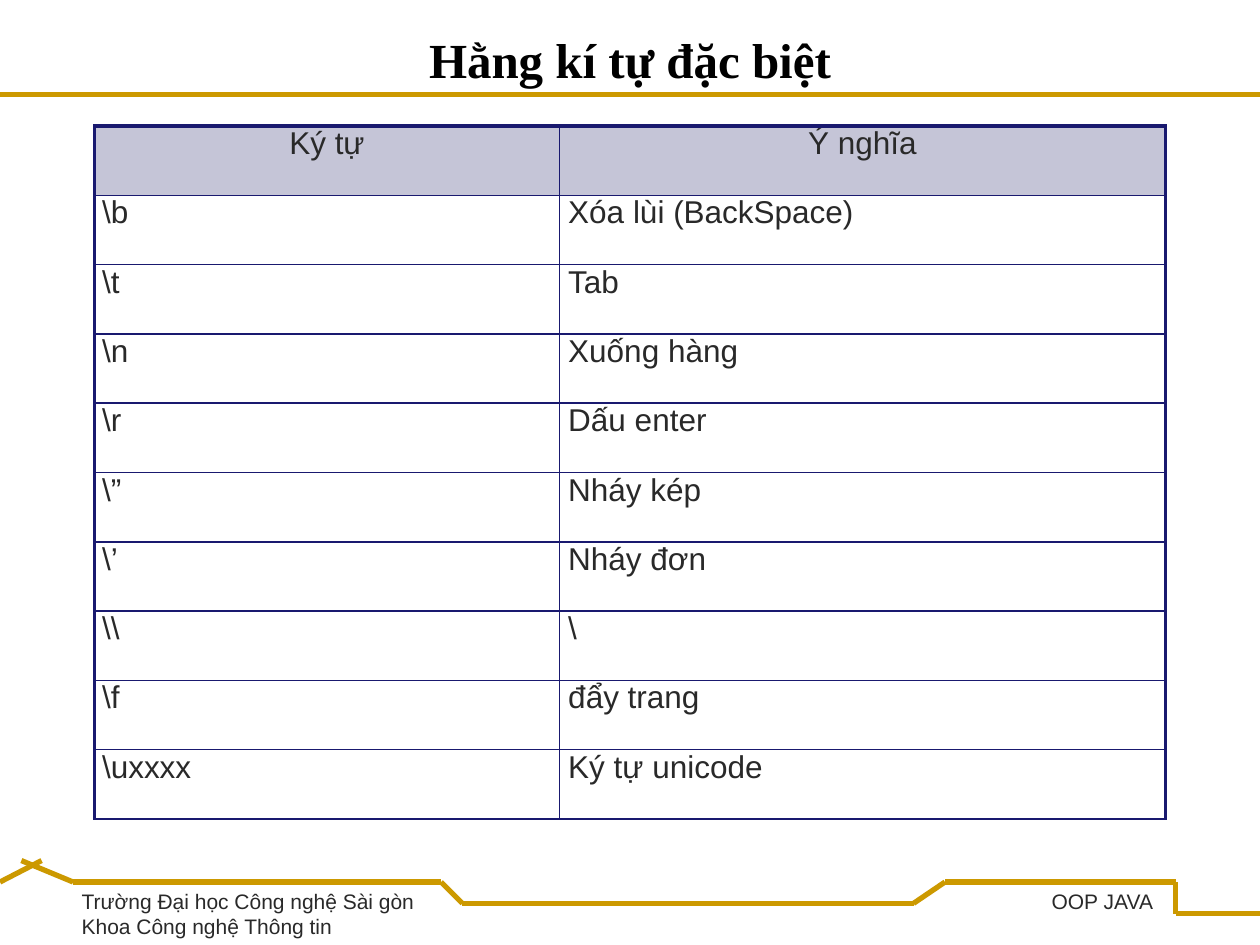
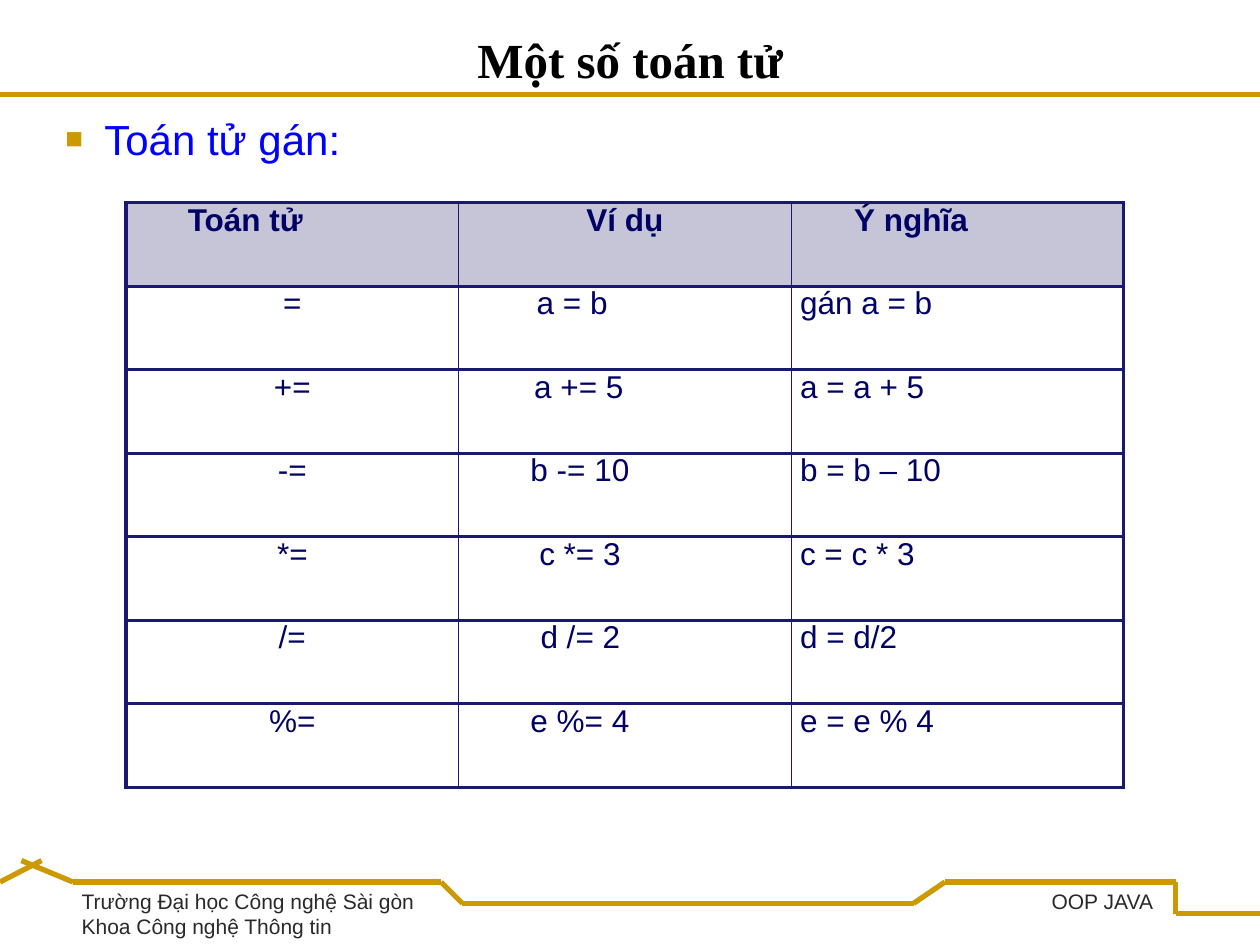
from lxml import etree
from pptx import Presentation
from pptx.dml.color import RGBColor
from pptx.enum.shapes import MSO_CONNECTOR
from pptx.enum.text import MSO_ANCHOR, PP_ALIGN
from pptx.oxml import parse_xml
from pptx.oxml.ns import nsdecls, qn
from pptx.util import Inches, Pt

STRAIGHT = MSO_CONNECTOR.STRAIGHT
TOP, BOTTOM = MSO_ANCHOR.TOP, MSO_ANCHOR.BOTTOM
LEFT, CENTER, RIGHT = PP_ALIGN.LEFT, PP_ALIGN.CENTER, PP_ALIGN.RIGHT
color = RGBColor.from_string

GOLD = "CC9900"
NAVY = "19196F"
DARK_NAVY = "000065"
CHARCOAL = "292929"
BLUE = "0000FF"
BLACK = "000000"
HEADER_FILL = "C5C5D7"

FRAME_LINES = [
    [(0, 0.75), (10, 0.75)],
    [(0, 7), (0.33, 6.83)],
    [(0.17, 6.83), (0.58, 7), (3.5, 7), (3.67, 7.17), (7.25, 7.17),
     (7.5, 7), (9.33, 7), (9.33, 7.25), (10, 7.25)],
]

TITLES = ["Hằng kí tự đặc biệt", "Một số toán tử"]

CHARACTERS = [
    ("Ký tự", "Ý nghĩa"),
    ("\\b", "Xóa lùi (BackSpace)"),
    ("\\t", "Tab"),
    ("\\n", "Xuống hàng"),
    ("\\r", "Dấu enter"),
    ("\\”", "Nháy kép"),
    ("\\’", "Nháy đơn"),
    ("\\\\", "\\"),
    ("\\f", "đẩy trang"),
    ("\\uxxxx", "Ký tự unicode"),
]
CHARACTER_INDENTS = [(None, None)] + [(0.06, 0.07)] * 9

OPERATORS = [
    ("Toán tử", "Ví dụ", "Ý nghĩa"),
    ("=", "a = b", "gán a = b"),
    ("+=", "a += 5", "a = a + 5"),
    ("-=", "b -= 10", "b = b – 10"),
    ("*=", "c *= 3", "c = c * 3"),
    ("/=", "d /= 2", "d = d/2"),
    ("%=", "e %= 4", "e = e % 4"),
]
EXAMPLE_INDENTS = [0.62, 0.6, 0.57, 0.64, 0.65, 0.57]
OPERATOR_INDENTS = [(0.49, None, 0.5)] + [(None, indent, 0.07) for indent in EXAMPLE_INDENTS]


def add_text(slide, box, lines, size, font_color, align=LEFT, font_name="Arial",
             bold=False, anchor=TOP, wrap=True):
    shape = slide.shapes.add_textbox(*map(Inches, box))
    text_frame = shape.text_frame
    text_frame.word_wrap = wrap
    text_frame.vertical_anchor = anchor
    text_frame.text = "\n".join(lines)
    for paragraph in text_frame.paragraphs:
        paragraph.alignment = align
        for run in paragraph.runs:
            run.font.name = font_name
            run.font.size = Pt(size)
            run.font.bold = bold
            run.font.color.rgb = color(font_color)
    return shape


def add_grid(slide, box, column_widths, rows, indents, row_lines, column_lines,
             font_color, bold_header):
    frame = slide.shapes.add_table(len(rows), len(column_widths), *map(Inches, box))
    table = frame.table
    table.horz_banding = False
    table.first_row = False
    for column, width in zip(table.columns, column_widths):
        column.width = Inches(width)
    for row_index, texts in enumerate(rows):
        table.rows[row_index].height = Inches(box[3] / len(rows))
        for column_index, text in enumerate(texts):
            cell = table.cell(row_index, column_index)
            cell.margin_left = cell.margin_right = cell.margin_top = cell.margin_bottom = 0
            borders = {
                "L": column_lines[column_index],
                "R": column_lines[column_index + 1],
                "T": row_lines[row_index],
                "B": row_lines[row_index + 1],
            }
            for side, width in borders.items():
                cell._tc.get_or_add_tcPr().append(parse_xml(
                    f'<a:ln{side} {nsdecls("a")} w="{Pt(width)}"><a:solidFill>'
                    f'<a:srgbClr val="{NAVY}"/></a:solidFill></a:ln{side}>'))
            if row_index == 0:
                cell.fill.solid()
                cell.fill.fore_color.rgb = color(HEADER_FILL)
            else:
                cell.fill.background()
            cell.text_frame.text = text
            paragraph = cell.text_frame.paragraphs[0]
            indent = indents[row_index][column_index]
            if indent is None:
                paragraph.alignment = CENTER
            else:
                paragraph._p.get_or_add_pPr().set("marL", str(Inches(indent)))
            font = paragraph.runs[0].font
            font.name = "Arial"
            font.size = Pt(18)
            font.bold = bold_header and row_index == 0
            font.color.rgb = color(font_color)


presentation = Presentation()
presentation.slide_width = Inches(10)
presentation.slide_height = Inches(7.5)

slides = []
for title in TITLES:
    slide = presentation.slides.add_slide(presentation.slide_layouts[6])
    slides.append(slide)
    for points in FRAME_LINES:
        for start, end in zip(points, points[1:]):
            connector = slide.shapes.add_connector(STRAIGHT, *map(Inches, start + end))
            connector.line.color.rgb = color(GOLD)
            connector.line.width = Pt(3)
            etree.SubElement(connector._element.spPr, qn("a:effectLst"))
    add_text(slide, (0.55, 7, 2.84, 0.5),
             ["Trường Đại học Công nghệ Sài gòn", "Khoa Công nghệ Thông tin"],
             12, CHARCOAL, wrap=False)
    add_text(slide, (0, 0.04, 10, 0.71), [title], 28, BLACK, CENTER,
             "Times New Roman", bold=True, anchor=BOTTOM)
    add_text(slide, (3.5, 7, 5.75, 0.42), ["OOP JAVA"], 12, CHARCOAL, RIGHT)

character_slide, operator_slide = slides

add_grid(character_slide, (0.75, 1, 8.5, 5.5), [3.69, 4.81], CHARACTERS, CHARACTER_INDENTS,
         [2.02] + [0.82, 1.06] * 3 + [0.82] * 3 + [1.78], [1.78, 0.82, 1.78],
         CHARCOAL, bold_header=False)

heading = add_text(operator_slide, (0.42, 0.85, 10, 6), ["Toán tử gán:"], 24, BLUE)
properties = heading.text_frame.paragraphs[0]._p.get_or_add_pPr()
properties.set("marL", str(Inches(0.31)))
properties.set("indent", str(Inches(-0.31)))
bullet_color = etree.SubElement(properties, qn("a:buClr"))
etree.SubElement(bullet_color, qn("a:srgbClr"), val=GOLD)
etree.SubElement(properties, qn("a:buSzPct"), val="70000")
etree.SubElement(properties, qn("a:buFont"), typeface="Arial")
etree.SubElement(properties, qn("a:buChar"), char="■")

add_grid(operator_slide, (1, 1.61, 7.92, 4.64), [2.64] * 3, OPERATORS, OPERATOR_INDENTS,
         [1.78, 1.78, 2.02, 1.78, 2.02, 2.02, 1.78, 2.02], [2.02, 1.06, 0.82, 1.78],
         DARK_NAVY, bold_header=True)

presentation.save("out.pptx")
